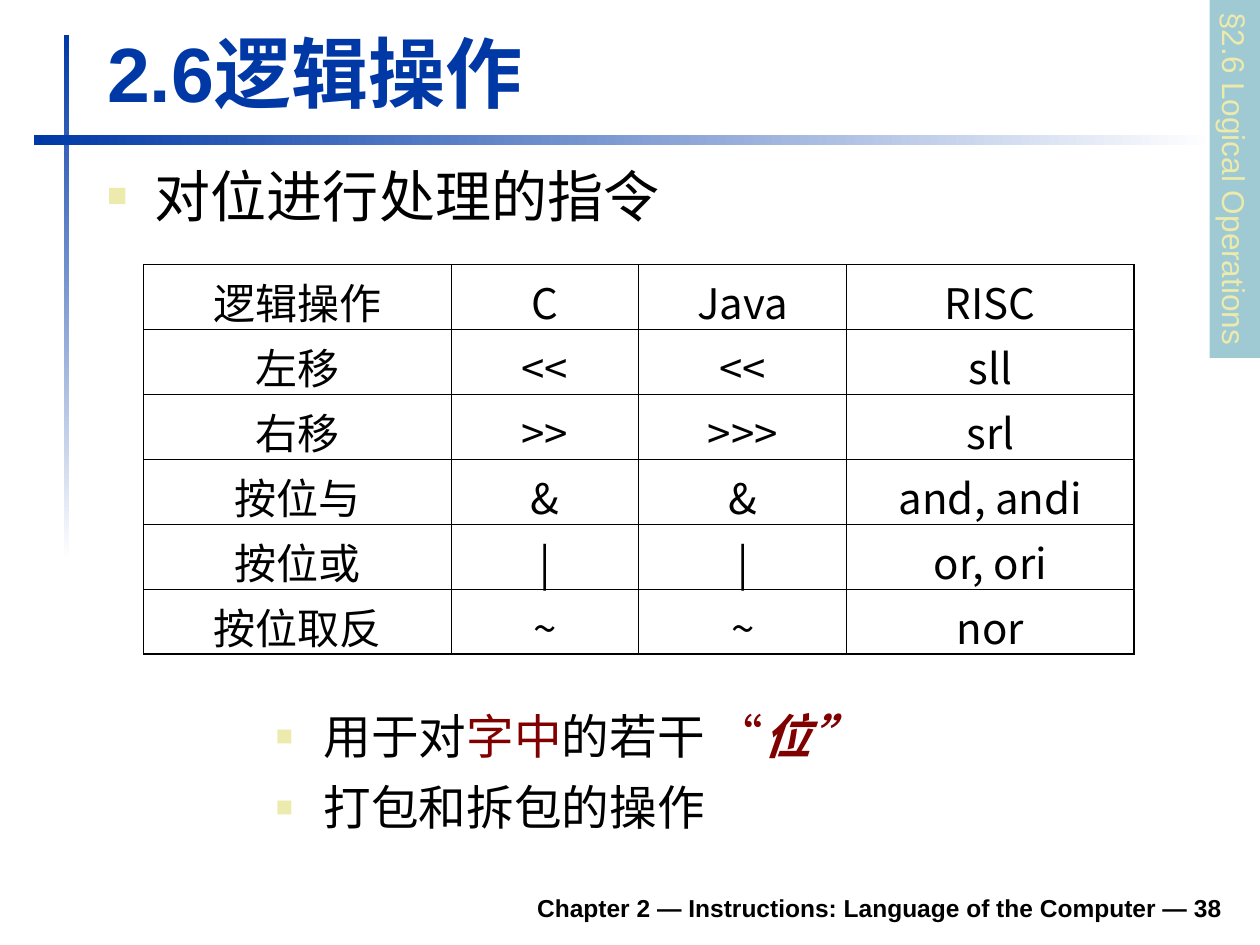
"""Build the slide on RISC logical operations."""
from lxml import etree
from pptx import Presentation, util as u
from pptx.dml.color import RGBColor
from pptx.enum import shapes, text
from pptx.oxml.ns import qn

BLUE = RGBColor(0x00, 0x39, 0xA6)
WHITE = RGBColor(0xFF, 0xFF, 0xFF)
BLACK = RGBColor(0x00, 0x00, 0x00)
MAROON = RGBColor(0x80, 0x00, 0x00)
CREAM = RGBColor(0xEC, 0xEA, 0xAC)
TEAL = RGBColor(0x9F, 0xCA, 0xD3)
CJK = "Noto Sans CJK SC"

TITLE = "2.6逻辑操作"
SUMMARY = "对位进行处理的指令"
SECTION = "§2.6 Logical Operations"
FOOTER = "Chapter 2 — Instructions: Language of the Computer — 38"
OPERATIONS = [
    ("逻辑操作", "C", "Java", "RISC"),
    ("左移", "<<", "<<", "sll"),
    ("右移", ">>", ">>>", "srl"),
    ("按位与", "&", "&", "and, andi"),
    ("按位或", "|", "|", "or, ori"),
    ("按位取反", "~", "~", "nor"),
]
COLUMN_WIDTHS = (2.44, 1.49, 1.65, 2.28)
ROW_HEIGHT = 0.515
USES = [
    [("用于对", {}), ("字中", {"color": MAROON}), ("的若干", {}),
     (" “", {"color": MAROON}), ("位”", {"color": MAROON, "bold": True, "italic": True})],
    [("打包和拆包的操作", {})],
]
RULES = [((0.51, 0.28, 0.04, 4.17), 270), ((0.27, 1.07, 9.37, 0.08), 0)]


def box(place):
    return [u.Inches(length) for length in place]


def write(paragraph, words, size=18, color=BLACK, font="Arial", bold=False,
          italic=False, align=text.PP_ALIGN.LEFT, before=0):
    paragraph.alignment = align
    paragraph.space_before = u.Pt(before)
    run = paragraph.add_run()
    run.text = words
    run.font.size, run.font.name = u.Pt(size), font
    run.font.bold, run.font.italic = bold, italic
    run.font.color.rgb = color


def add_bullet(paragraph):
    props = paragraph._p.get_or_add_pPr()
    props.set("marL", str(u.Inches(0.38)))
    props.set("indent", str(-u.Inches(0.38)))
    color = etree.SubElement(props, qn("a:buClr"))
    etree.SubElement(color, qn("a:srgbClr"), val=str(CREAM))
    etree.SubElement(props, qn("a:buSzPct"), val="60000")
    etree.SubElement(props, qn("a:buFont"), typeface="Arial")
    etree.SubElement(props, qn("a:buChar"), char="■")


def add_borders(cell, widths):
    props = cell._tc.get_or_add_tcPr()
    for side, width in widths.items():
        line = etree.SubElement(props, qn(f"a:{side}"), w=str(u.Pt(width)))
        fill = etree.SubElement(line, qn("a:solidFill"))
        etree.SubElement(fill, qn("a:srgbClr"), val=str(BLACK))


def add_operations(slide):
    rows, columns = len(OPERATIONS), len(COLUMN_WIDTHS)
    place = box((1.14, 2.1, sum(COLUMN_WIDTHS), ROW_HEIGHT * rows))
    table = slide.shapes.add_table(rows, columns, *place).table
    table.first_row = table.horz_banding = False
    for column, width in zip(table.columns, COLUMN_WIDTHS):
        column.width = u.Inches(width)
    horizontal = [1.08, 0.75] + [0.45] * (rows - 2) + [1.08]
    vertical = [1.08] + [0.45] * (columns - 1) + [1.08]
    for r, operation in enumerate(OPERATIONS):
        table.rows[r].height = u.Inches(ROW_HEIGHT)
        for c, words in enumerate(operation):
            cell = table.cell(r, c)
            add_borders(cell, {"lnL": vertical[c], "lnR": vertical[c + 1],
                               "lnT": horizontal[r], "lnB": horizontal[r + 1]})
            cell.fill.background()
            write(cell.text_frame.paragraphs[0], words, size=24, font=CJK,
                  align=text.PP_ALIGN.CENTER)


def main():
    deck = Presentation()
    deck.slide_width, deck.slide_height = u.Inches(10), u.Inches(7.5)
    slide = deck.slides.add_slide(deck.slide_layouts[1])
    title, body = slide.placeholders

    for place, angle in RULES:
        rule = slide.shapes.add_shape(shapes.MSO_SHAPE.RECTANGLE, *box(place))
        rule.shadow.inherit = False
        rule.line.fill.background()
        rule.fill.gradient()
        rule.fill.gradient_angle = angle
        for stop, color, position in zip(rule.fill.gradient_stops, (BLUE, WHITE), (0, 1)):
            stop.color.rgb, stop.position = color, position

    footer = slide.shapes.add_textbox(*box((1.85, 6.98, 7.95, 0.39))).text_frame
    footer.word_wrap = True
    footer.vertical_anchor = text.MSO_ANCHOR.BOTTOM
    write(footer.paragraphs[0], FOOTER, size=14, bold=True, align=text.PP_ALIGN.RIGHT)

    title.left, title.top, title.width, title.height = box((0.75, 0.16, 9.03, 0.83))
    title.text_frame.vertical_anchor = text.MSO_ANCHOR.BOTTOM
    title.text_frame.auto_size = text.MSO_AUTO_SIZE.SHAPE_TO_FIT_TEXT
    write(title.text_frame.paragraphs[0], TITLE, size=44, color=BLUE, bold=True)

    body.left, body.top, body.width, body.height = box((0.75, 1.23, 9.04, 0.76))
    body.text_frame.auto_size = text.MSO_AUTO_SIZE.NONE
    add_bullet(body.text_frame.paragraphs[0])
    write(body.text_frame.paragraphs[0], SUMMARY, size=32)

    add_operations(slide)

    uses = slide.shapes.add_textbox(*box((2.09, 5.56, 5.75, 1.18))).text_frame
    uses.word_wrap = True
    for i, pieces in enumerate(USES):
        paragraph = uses.add_paragraph() if i else uses.paragraphs[0]
        add_bullet(paragraph)
        for words, style in pieces:
            write(paragraph, words, size=27.2, before=8 if i else 0, **style)

    section = slide.shapes.add_shape(shapes.MSO_SHAPE.RECTANGLE, *box((8.38, 1.22, 2.84, 0.4)))
    section.rotation = 90
    section.shadow.inherit = False
    section.fill.solid()
    section.fill.fore_color.rgb = TEAL
    section.line.fill.background()
    section.text_frame.word_wrap = False
    write(section.text_frame.paragraphs[0], SECTION, color=CREAM)

    deck.save("out.pptx")


if __name__ == "__main__":
    main()
